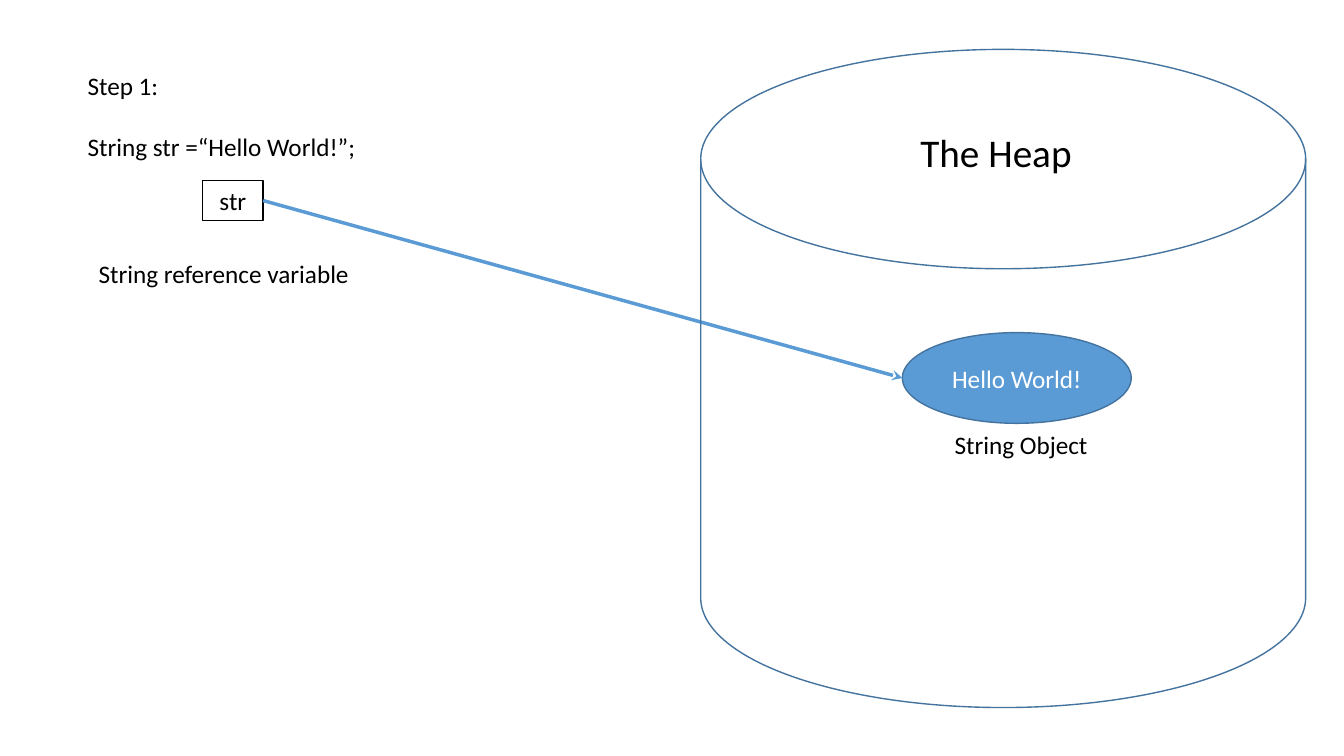
import dataclasses

import pptx
import pptx.dml.color
import pptx.enum.shapes
import pptx.enum.text
import pptx.oxml.ns
import pptx.util
from lxml import etree

Inches = pptx.util.Inches
Pt = pptx.util.Pt
Shapes = pptx.enum.shapes.MSO_SHAPE


@dataclasses.dataclass(frozen=True)
class Theme:
    font: str = "Calibri"
    ink: str = "000000"
    paper: str = "FFFFFF"
    blue: str = "5B9BD5"
    outline: str = "43739E"
    body: int = 18
    heading: int = 28
    thin: float = 1
    thick: float = 2.5
    line_gap: int = 22


THEME = Theme()


def colour(value):
    return pptx.dml.color.RGBColor.from_string(value)


def write(para, text, size, ink):
    span = para.add_run()
    span.text = text
    span.font.name = THEME.font
    span.font.size = Pt(size)
    span.font.color.rgb = colour(ink)


def add_label(page, left, top, width, height, lines, size=THEME.body):
    box = page.shapes.add_textbox(Inches(left), Inches(top), Inches(width), Inches(height))
    frame = box.text_frame
    frame.word_wrap = True
    for index, line in enumerate(lines):
        para = frame.add_paragraph() if index else frame.paragraphs[0]
        if index:
            para.space_before = Pt(THEME.line_gap)
        write(para, line, size, THEME.ink)


def add_node(page, kind, left, top, width, height, line, fill=None, text=None, ink=THEME.ink):
    node = page.shapes.add_shape(kind, Inches(left), Inches(top), Inches(width), Inches(height))
    node.shadow.inherit = False
    node.line.color.rgb = colour(line)
    node.line.width = Pt(THEME.thin)
    if fill:
        node.fill.solid()
        node.fill.fore_color.rgb = colour(fill)
    else:
        node.fill.background()
    if text:
        node.text_frame.vertical_anchor = pptx.enum.text.MSO_ANCHOR.MIDDLE
        para = node.text_frame.paragraphs[0]
        para.alignment = pptx.enum.text.PP_ALIGN.CENTER
        write(para, text, THEME.body, ink)
    return node


def add_reference_arrow(page, variable, target):
    arrow = page.shapes.add_connector(
        pptx.enum.shapes.MSO_CONNECTOR.STRAIGHT,
        variable.left + variable.width, variable.top + variable.height // 2,
        target.left, target.top + target.height // 2)
    arrow.begin_connect(variable, 3)
    arrow.line.color.rgb = colour(THEME.blue)
    arrow.line.width = Pt(THEME.thick)
    outline = arrow.line._get_or_add_ln()
    etree.SubElement(outline, pptx.oxml.ns.qn("a:tailEnd"), type="stealth")
    etree.SubElement(outline.getparent(), pptx.oxml.ns.qn("a:effectLst"))


def main():
    deck = pptx.Presentation()
    deck.slide_width = Inches(13.33)
    deck.slide_height = Inches(7.5)
    page = deck.slides.add_slide(deck.slide_layouts[6])

    variable = add_node(page, Shapes.RECTANGLE, 2.01, 1.79, 0.6, 0.4, THEME.ink, text="str")
    add_label(page, 0.88, 2.51, 2.86, 0.4, ["String reference variable"])
    greeting = add_node(page, Shapes.OVAL, 8.95, 3.3, 2.27, 0.9, THEME.outline,
                        THEME.blue, "Hello World!", THEME.paper)
    add_reference_arrow(page, variable, greeting)
    add_label(page, 9.37, 4.21, 1.73, 0.4, ["String Object"])
    add_node(page, Shapes.FLOWCHART_MAGNETIC_DISK, 6.95, 0.49, 6, 6.53, THEME.outline)
    add_label(page, 0.77, 0.65, 4.29, 1.01, ["Step 1:", "String str =“Hello World!”;"])
    add_label(page, 9.03, 1.22, 2.19, 0.57, ["The Heap"], THEME.heading)

    deck.save("out.pptx")


if __name__ == "__main__":
    main()
